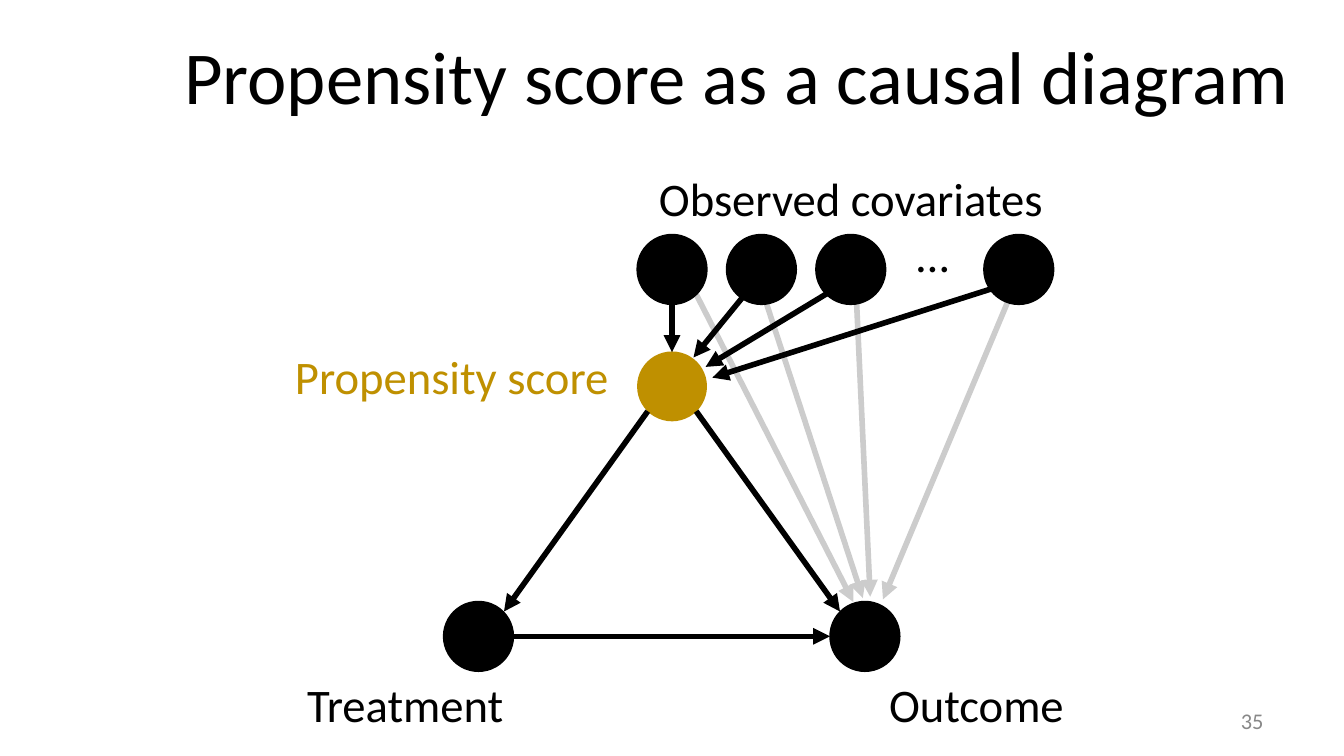
from dataclasses import dataclass

from lxml import etree
from pptx import Presentation
from pptx import util as u
from pptx.dml.color import RGBColor
from pptx.enum import shapes, text
from pptx.oxml.ns import qn

PX = 4572  # 200 px to the inch


@dataclass(frozen=True)
class Theme:
    font: str = "Calibri"
    ink: str = "000000"
    gold: str = "BF9000"
    pale: str = "CCCCCC"
    muted: str = "888888"
    title: int = 40
    label: int = 25
    number: int = 12
    arrow: int = 3


theme = Theme()


def write(box, words, size=theme.label, color=theme.ink, align="CENTER",
          anchor="TOP", inset=20):
    frame = box.text_frame
    frame.word_wrap = True
    frame.auto_size = text.MSO_AUTO_SIZE.NONE
    frame.vertical_anchor = text.MSO_ANCHOR[anchor]
    frame.margin_left = frame.margin_right = 20 * PX
    frame.margin_top = frame.margin_bottom = inset * PX
    para = frame.paragraphs[0]
    para.alignment = text.PP_ALIGN[align]
    span = para.add_run()
    span.text = words
    span.font.name = theme.font
    span.font.size = u.Pt(size)
    span.font.color.rgb = RGBColor.from_string(color)


def draw_arrow(page, points, color=theme.ink):
    arrow = page.shapes.add_connector(
        shapes.MSO_CONNECTOR.STRAIGHT, *(p * PX for p in points))
    arrow.line.color.rgb = RGBColor.from_string(color)
    arrow.line.width = u.Pt(theme.arrow)
    outline = arrow._element.spPr.find(qn("a:ln"))
    etree.SubElement(outline, qn("a:tailEnd"), type="triangle")
    etree.SubElement(arrow._element.spPr, qn("a:effectLst"))


deck = Presentation()
deck.slide_width, deck.slide_height = 2000 * PX, 1125 * PX
page = deck.slides.add_slide(deck.slide_layouts[5])

# Title
title = page.shapes.title
title.left, title.top, title.width, title.height = (
    n * PX for n in (250, 17, 1692, 188))
write(title, "Propensity score as a causal diagram", size=theme.title,
      anchor="MIDDLE")

# Direct effects of the covariates on the outcome, behind the nodes
for points in [(1036, 438, 1270, 896), (1140, 450, 1284, 890),
               (1274, 434, 1295, 888), (1506, 434, 1314, 892)]:
    draw_arrow(page, points, color=theme.pale)

# Nodes: four covariates, the score, treatment and outcome
node_size = 104
covariates = [(left, 349, theme.ink) for left in (948, 1081, 1214, 1464)]
for left, top, color in covariates + [(948, 523, theme.gold),
                                      (660, 895, theme.ink),
                                      (1235, 895, theme.ink)]:
    node = page.shapes.add_shape(
        shapes.MSO_SHAPE.OVAL, left * PX, top * PX, node_size * PX, node_size * PX)
    node.shadow.inherit = False
    node.fill.solid()
    node.fill.fore_color.rgb = RGBColor.from_string(color)
    if color == theme.gold:
        node.line.fill.background()
    else:
        node.line.color.rgb = RGBColor.from_string(color)
        node.line.width = u.Pt(0.75)

# Covariates to score, score to treatment and outcome, treatment to outcome
for points in [(1000, 452, 1000, 524), (1112, 434, 1032, 532),
               (1242, 430, 1050, 546), (1494, 424, 1060, 562),
               (964, 612, 750, 910), (1036, 612, 1250, 910),
               (764, 947, 1235, 947)]:
    draw_arrow(page, points)

# Labels and slide number
for words, area, style in [
    ("Observed covariates", (844, 233, 844, 98), {}),
    ("…", (1314, 316, 148, 98), {}),
    ("Propensity score", (271, 498, 654, 98),
     dict(color=theme.gold, align="RIGHT")),
    ("Treatment", (250, 986, 706, 98), {}),
    ("Outcome", (1100, 986, 706, 98), {}),
    ("35", (1434, 1043, 466, 60),
     dict(size=theme.number, color=theme.muted, align="RIGHT",
          anchor="MIDDLE", inset=10)),
]:
    box = page.shapes.add_textbox(*(n * PX for n in area))
    write(box, words, **style)

deck.save("out.pptx")
